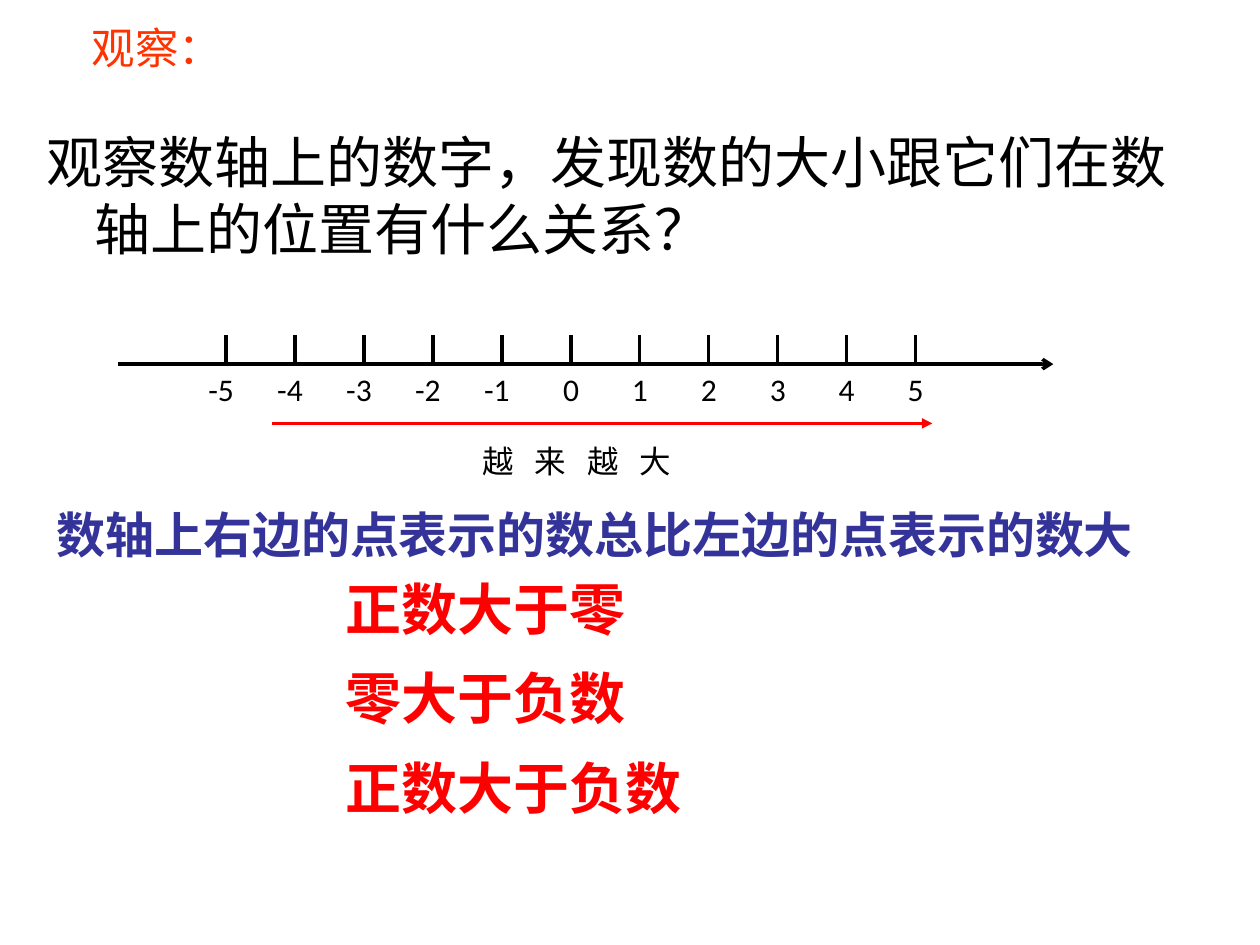
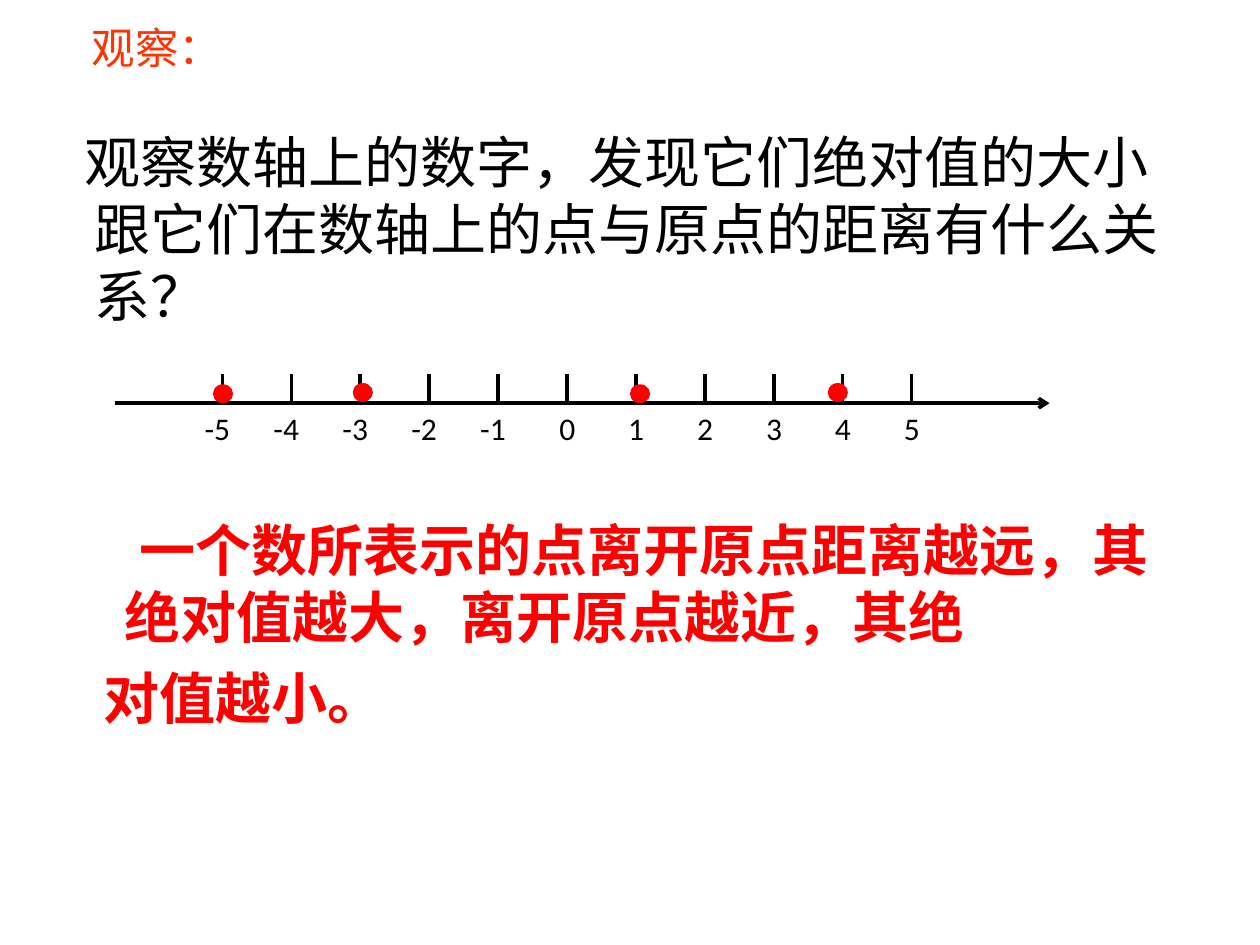
"""Builds two slides comparing numbers and absolute values on a number line."""
from lxml import etree
from pptx import Presentation
from pptx.dml.color import RGBColor
from pptx.enum.shapes import MSO_CONNECTOR, MSO_SHAPE
from pptx.enum.text import MSO_ANCHOR, MSO_AUTO_SIZE, PP_ALIGN
from pptx.oxml.ns import qn
from pptx.util import Inches, Pt

BLACK = RGBColor(0x00, 0x00, 0x00)
RED = RGBColor(0xFF, 0x00, 0x00)
ORANGE = RGBColor(0xFF, 0x33, 0x00)
BLUE = RGBColor(0x33, 0x33, 0x99)
SONG = "Noto Sans CJK SC"
GOTHIC = "Noto Sans CJK JP"
HANGING = -0.38


class Lesson:
    """Holds the shared style and the slide being filled."""

    def __init__(self):
        self.deck = Presentation()
        self.deck.slide_width = Inches(10)
        self.deck.slide_height = Inches(7.5)
        self.slide = None

    def new_slide(self, heading):
        """Add a title-only slide with its small orange heading."""
        self.slide = self.deck.slides.add_slide(self.deck.slide_layouts[5])
        title = self.slide.shapes.title
        title.left, title.top = Inches(0.63), Inches(0.16)
        title.width, title.height = Inches(7.27), Inches(0.55)
        self.fill_frame(title.text_frame, [(heading, HANGING)], 24.8, ORANGE, line=0.96)

    def fill_frame(self, frame, paragraphs, size, color, latin=SONG, asian=SONG,
                   bold=False, line=1.2, spacing=None):
        """Write (text, first-line indent) pairs; an indent of None means no margin."""
        frame.word_wrap = True
        frame.auto_size = MSO_AUTO_SIZE.NONE
        frame.vertical_anchor = MSO_ANCHOR.TOP
        frame.margin_top = Pt(3.6 + 0.11 * size)
        for index, (text, indent) in enumerate(paragraphs):
            paragraph = frame.add_paragraph() if index else frame.paragraphs[0]
            paragraph.alignment = PP_ALIGN.LEFT
            paragraph.line_spacing = Pt(round(size * line, 1))
            paragraph.space_before = Pt(8 if index else 0)
            if indent is not None:
                properties = paragraph._p.get_or_add_pPr()
                properties.set("marL", str(Inches(0.38)))
                properties.set("indent", str(Inches(indent)))
            run = paragraph.add_run()
            run.text = text
            font = run.font
            font.size, font.bold, font.name = Pt(size), bold, latin
            font.color.rgb = color
            etree.SubElement(font._element, qn("a:ea")).set("typeface", asian)
            if spacing:
                font._element.set("spc", str(spacing))

    def text(self, left, top, width, height, paragraphs, size, color, **style):
        """Add a text box."""
        box = self.slide.shapes.add_textbox(
            Inches(left), Inches(top), Inches(width), Inches(height))
        self.fill_frame(box.text_frame, paragraphs, size, color, **style)
        return box.text_frame

    def line(self, x1, y1, x2, y2, color=BLACK, weight=2, head=None):
        """Add a straight line, with an arrowhead at its end if one is named."""
        link = self.slide.shapes.add_connector(
            MSO_CONNECTOR.STRAIGHT, Inches(x1), Inches(y1), Inches(x2), Inches(y2))
        link.line.color.rgb = color
        link.line.width = Pt(weight)
        if head:
            etree.SubElement(link.line._get_or_add_ln(), qn("a:tailEnd")).set("type", head)
        etree.SubElement(link._element.spPr, qn("a:effectLst"))

    def number_line(self, zero, y):
        """Add the axis with ticks and labels from -5 to 5."""
        self.line(zero - 3.59, y, zero + 3.83, y, head="arrow")
        for number in range(-5, 6):
            x = zero + number * 5.47 / 10
            self.line(x, y - 0.23, x, y)
            offset = 0.24 if number < 0 else 0.16
            label = self.text(x - offset, y, 2 * offset, 0.4, [(str(number), None)],
                              18, BLACK, latin="Calibri")
            label.word_wrap = False
            label.margin_top = Inches(0.05)

    def dot(self, left, top):
        """Add a red point on the axis."""
        point = self.slide.shapes.add_shape(
            MSO_SHAPE.FLOWCHART_CONNECTOR, Inches(left), Inches(top),
            Inches(0.16), Inches(0.15))
        point.shadow.inherit = False
        point.fill.solid()
        point.fill.fore_color.rgb = RED
        point.line.fill.background()

    def question(self, text, indent=HANGING):
        """Add the question under the heading."""
        self.text(0.27, 0.91, 9.14, 1.72, [(text, indent)], 32, BLACK)


def main():
    """Build both slides and save them."""
    lesson = Lesson()

    lesson.new_slide("观察：")
    lesson.question("观察数轴上的数字，发现数的大小跟它们在数轴上的位置有什么关系？")
    lesson.number_line(4.53, 2.89)
    lesson.line(2.16, 3.36, 7.4, 3.36, RED, 1.75, "triangle")
    lesson.text(3.73, 3.43, 1.87, 0.4, [("越 来 越 大", None)], 18, BLACK,
                latin="Calibri", spacing=400)
    lesson.text(0.35, 3.91, 9.14, 0.71,
                [("数轴上右边的点表示的数总比左边的点表示的数大", HANGING)],
                28, BLUE, latin=GOTHIC, asian=GOTHIC, bold=True)
    for row, rule in enumerate(("正数大于零", "零大于负数", "正数大于负数")):
        lesson.text(2.64, 4.46 + 0.71 * row, 3.78, 0.64, [(rule, None)],
                    32, RED, latin="Arial", bold=True)

    lesson.new_slide("观察：")
    lesson.question("观察数轴上的数字，发现它们绝对值的大小跟它们在数轴上的点与原点的距离有什么关系？", -0.08)
    lesson.number_line(4.5, 3.2)
    lesson.text(0.51, 3.99, 8.91, 2.5,
                [("一个数所表示的点离开原点距离越远，其绝对值越大，离开原点越近，其绝", 0.12),
                 ("对值越小。", -0.17)], 32, RED, bold=True)
    for left, top in ((5, 3.05), (1.69, 3.05), (6.57, 3.04), (2.8, 3.04)):
        lesson.dot(left, top)

    lesson.deck.save("out.pptx")


if __name__ == "__main__":
    main()
